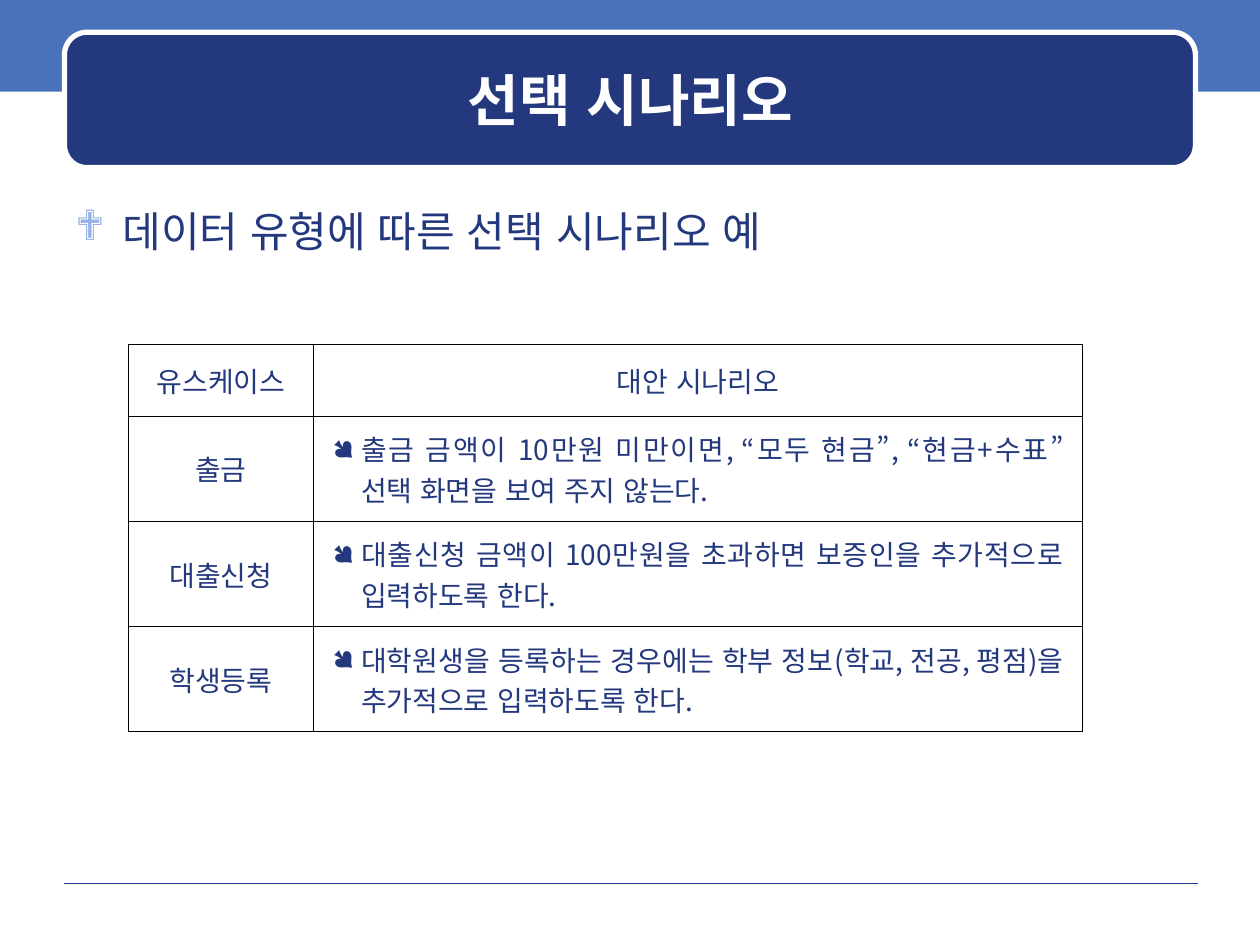
from lxml.etree import SubElement
from pptx import Presentation
from pptx.dml.color import RGBColor
from pptx.enum.lang import MSO_LANGUAGE_ID
from pptx.enum.shapes import MSO_CONNECTOR, MSO_SHAPE
from pptx.enum.text import MSO_ANCHOR, PP_ALIGN
from pptx.oxml.ns import qn
from pptx.util import Cm, Pt

# Content
TITLE = "선택 시나리오"
TOPIC = "데이터 유형에 따른 선택 시나리오 예"
ROWS = [
    ("유스케이스", "대안 시나리오"),
    ("출금", "출금 금액이 10만원 미만이면, “모두 현금”, “현금+수표” 선택 화면을 보여 주지 않는다."),
    ("대출신청", "대출신청 금액이 100만원을 초과하면 보증인을 추가적으로 입력하도록 한다."),
    ("학생등록", "대학원생을 등록하는 경우에는 학부 정보(학교, 전공, 평점)을 추가적으로 입력하도록 한다."),
]
WIDTHS = [3.73, 15.5]
HEIGHTS = [1.45] + [2.12] * 3

FONT = "Noto Sans CJK KR"
MARKS = "Wingdings"
NAVY = RGBColor(0x23, 0x38, 0x7D)
BLUE = RGBColor(0x49, 0x72, 0xBB)
PALE = RGBColor(0x96, 0xB1, 0xE6)
RULE = RGBColor(0x1A, 0x3D, 0x97)
WHITE = RGBColor(0xFF, 0xFF, 0xFF)
BLACK = RGBColor(0, 0, 0)


def write(para, text, size, color, bold=False, align=PP_ALIGN.LEFT):
    para.alignment = align
    run = para.add_run()
    run.text = text
    font = run.font
    font.size, font.bold, font.name = Pt(size), bold, FONT
    font.color.rgb = color
    font.language_id = MSO_LANGUAGE_ID.KOREAN


def bullet(para, char, color, indent):
    props = para._p.get_or_add_pPr()
    props.set("marL", str(Cm(indent)))
    props.set("indent", str(-Cm(indent)))
    tint = SubElement(props, qn("a:buClr"))
    SubElement(tint, qn("a:srgbClr"), val=str(color))
    SubElement(props, qn("a:buFont"), typeface=MARKS)
    SubElement(props, qn("a:buChar"), char=char)


def border(cell, color, width):
    props = cell._tc.get_or_add_tcPr()
    for spot, side in enumerate(("lnL", "lnR", "lnT", "lnB")):
        line = SubElement(props, qn("a:" + side), w=str(Pt(width)))
        fill = SubElement(line, qn("a:solidFill"))
        SubElement(fill, qn("a:srgbClr"), val=str(color))
        props.insert(spot, line)


def panel(kind, box, color):
    shape = slide.shapes.add_shape(kind, *map(Cm, box))
    shape.shadow.inherit = False
    shape.fill.solid()
    shape.fill.fore_color.rgb = color
    shape.line.fill.background()
    return shape


def textbox(box, anchor):
    frame = slide.shapes.add_textbox(*map(Cm, box)).text_frame
    frame.word_wrap = True
    frame.vertical_anchor = anchor
    return frame.paragraphs[0]


deck = Presentation()
deck.slide_width, deck.slide_height = Cm(25.4), Cm(19.05)
slide = deck.slides.add_slide(deck.slide_layouts[6])

# Header band, footer rule and title panel
panel(MSO_SHAPE.RECTANGLE, (0, -0.08, 25.4, 1.93), BLUE)
foot = slide.shapes.add_connector(
    MSO_CONNECTOR.STRAIGHT, Cm(1.3), Cm(17.8), Cm(24.16), Cm(17.8))
foot.line.color.rgb = RULE
foot.line.width = Pt(0.25)
SubElement(foot._element.spPr, qn("a:effectLst"))
plate = panel(MSO_SHAPE.ROUNDED_RECTANGLE, (1.3, 0.65, 22.8, 2.73), NAVY)
plate.line.color.rgb = WHITE
plate.line.width = Pt(3)

# Title and topic
write(textbox((1.52, 0.88, 22.38, 2.24), MSO_ANCHOR.MIDDLE),
      TITLE, 32, WHITE, True, PP_ALIGN.CENTER)
topic = textbox((1.27, 4.01, 22.86, 13.54), MSO_ANCHOR.TOP)
bullet(topic, "❖", PALE, 0.95)
write(topic, TOPIC, 24, NAVY)

# Scenario table
table = slide.shapes.add_table(
    len(ROWS), len(WIDTHS), Cm(2.59), Cm(6.94),
    Cm(sum(WIDTHS)), Cm(sum(HEIGHTS))).table
table.first_row = table.horz_banding = False
for col, width in zip(table.columns, WIDTHS):
    col.width = Cm(width)
for row, height in zip(table.rows, HEIGHTS):
    row.height = Cm(height)
for r, texts in enumerate(ROWS):
    for c, text in enumerate(texts):
        cell = table.cell(r, c)
        cell.fill.background()
        border(cell, BLACK, 0.45)
        cell.vertical_anchor = MSO_ANCHOR.MIDDLE
        cell.margin_left = cell.margin_right = Cm(0.38)
        cell.margin_top = cell.margin_bottom = Cm(0.13)
        para = cell.text_frame.paragraphs[0]
        listed = r > 0 and c == 1
        if listed:
            bullet(para, "●", NAVY, 0.58)
        write(para, text, 16, NAVY,
              align=PP_ALIGN.JUSTIFY if listed else PP_ALIGN.CENTER)

deck.save("out.pptx")
